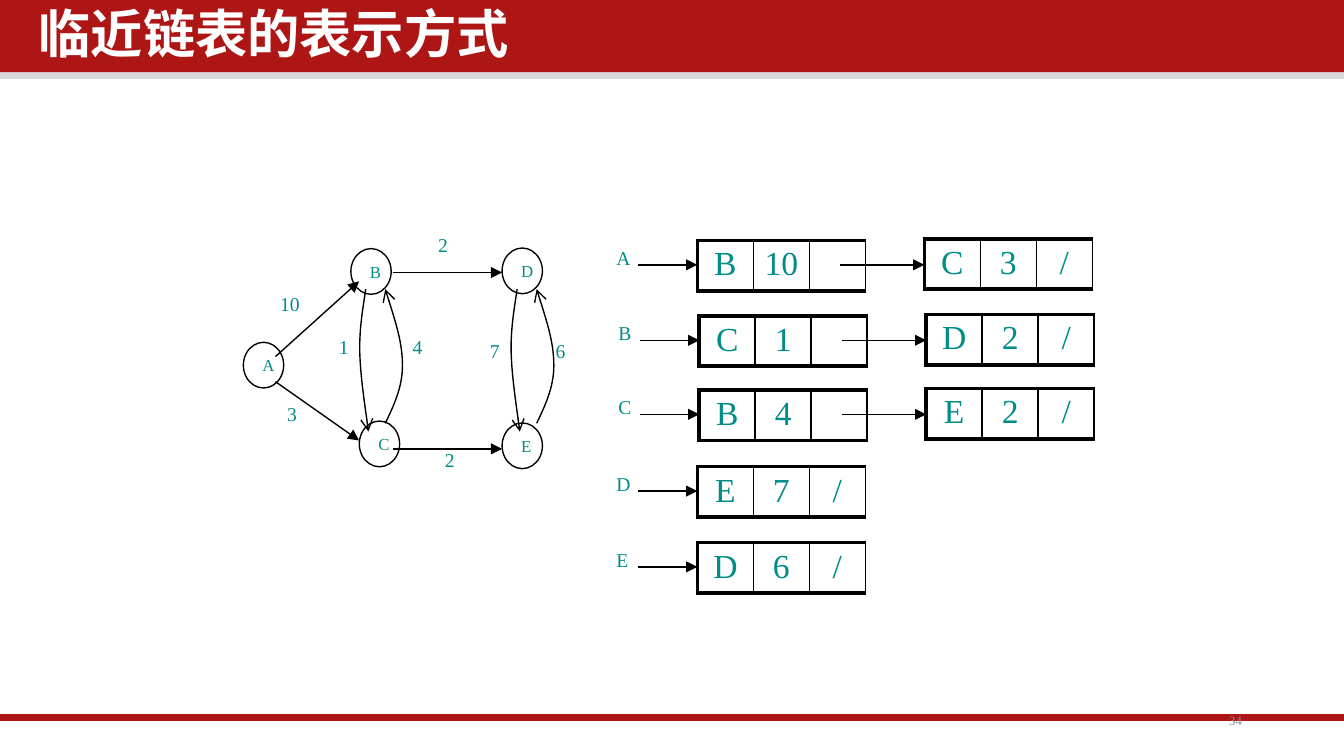
"""Build the slide on the adjacency list representation of a weighted graph."""
from dataclasses import dataclass

from lxml import etree
from pptx import Presentation
from pptx import util as u
from pptx.dml.color import RGBColor
from pptx.enum import shapes, text
from pptx.oxml.ns import qn

RED = RGBColor(0xAE, 0x16, 0x16)
PALE = RGBColor(0xD9, 0xD9, 0xD9)
GREY = RGBColor(0x8C, 0x8C, 0x8C)
TEAL = RGBColor(0x00, 0x8C, 0x87)
BLACK = RGBColor(0, 0, 0)
WHITE = RGBColor(255, 255, 255)
SERIF = "Times New Roman"
CJK = "Noto Sans CJK SC"
Point = tuple[float, float]


@dataclass(frozen=True)
class Label:
    text: str
    x: float
    y: float


@dataclass(frozen=True)
class Edge:
    start: Point
    end: Point


@dataclass(frozen=True)
class ListRow:
    vertex: str
    x: float
    y: float
    first: tuple[str, str, str]
    second: tuple[str, ...] = ()


VERTICES = [Label("A", 130.4, 183.4), Label("B", 188, 133.2), Label("C", 192.5, 225.6),
            Label("D", 269, 132.9), Label("E", 269, 226.6)]
EDGES = [Edge((147.6, 191), (192.4, 150.7)), Edge((147.6, 204.5), (192.4, 236)),
         Edge((210.4, 146), (269, 146)), Edge((210.4, 240.5), (269, 240.5))]
WEIGHTS = [Label("10", 143, 152.9), Label("2", 227.6, 121.5), Label("3", 146.8, 211.6),
           Label("1", 174.5, 175.8), Label("4", 214, 175.8), Label("7", 255.4, 177.9),
           Label("6", 290.6, 177.9), Label("2", 231.3, 236.3)]
DOWN = [(3.6, 0), (2, 10.8), (0, 21.6), (0.4, 34.6), (0.8, 46.8), (4.2, 69.8), (5, 76.3)]
UP = [(14, 71.9), (18.5, 62.6), (23.2, 52.6), (23.2, 41), (23.2, 28.8), (18.5, 14.4), (14, 0)]
CURVE_ORIGINS = [(192.4, 154.9), (273.5, 154.9)]
ROWS = [ListRow("A", 373.6, 128.2, ("B", "10", ""), ("C", "3", "/")),
        ListRow("B", 374.6, 168.6, ("C", "1", ""), ("D", "2", "/")),
        ListRow("C", 374.6, 208.3, ("B", "4", ""), ("E", "2", "/")),
        ListRow("D", 373.6, 249.4, ("E", "7", "/")),
        ListRow("E", 373.6, 290, ("D", "6", "/"))]


def add_text(tf, content: str, *, size: float, color=TEAL, font=SERIF, bold=False,
             align=text.PP_ALIGN.LEFT, spacing=1.0) -> None:
    p = tf.paragraphs[0]
    p.alignment, p.line_spacing = align, spacing
    r = p.add_run()
    r.text = content
    r.font.size, r.font.bold, r.font.name = u.Pt(size), bold, font
    r.font.color.rgb = color
    etree.SubElement(r.font._element, qn("a:ea"), typeface=font)


def add_box(s, x: float, y: float, w: float, h: float, content: str, *,
            wrap=False, margins=(7.2, 3.6), anchor=text.MSO_ANCHOR.TOP, **fmt) -> None:
    tf = s.shapes.add_textbox(u.Pt(x), u.Pt(y), u.Pt(w), u.Pt(h)).text_frame
    tf.word_wrap, tf.vertical_anchor = wrap, anchor
    tf.margin_left = tf.margin_right = u.Pt(margins[0])
    tf.margin_top = tf.margin_bottom = u.Pt(margins[1])
    add_text(tf, content, **fmt)


def add_band(s, y: float, h: float, color: RGBColor) -> None:
    sp = s.shapes.add_shape(shapes.MSO_SHAPE.RECTANGLE, 0, u.Pt(y), u.Pt(720), u.Pt(h))
    sp.shadow.inherit = False
    sp.fill.solid()
    sp.fill.fore_color.rgb = color
    sp.line.fill.background()


def style_line(line, color: RGBColor, width: float, head: str) -> None:
    line.color.rgb, line.width = color, u.Pt(width)
    etree.SubElement(line._get_or_add_ln(), qn("a:tailEnd"), type=head)


def add_line(s, edge: Edge, *, color=BLACK, width=0.75, head="triangle") -> None:
    (x1, y1), (x2, y2) = edge.start, edge.end
    c = s.shapes.add_connector(shapes.MSO_CONNECTOR.STRAIGHT,
                               u.Pt(x1), u.Pt(y1), u.Pt(x2), u.Pt(y2))
    style_line(c.line, color, width, head)
    etree.SubElement(c._element.spPr, qn("a:effectLst"))


def add_vertex(s, v: Label) -> None:
    sp = s.shapes.add_shape(shapes.MSO_SHAPE.OVAL, u.Pt(v.x), u.Pt(v.y), u.Pt(21.6), u.Pt(24.5))
    sp.shadow.inherit = False
    sp.fill.background()
    sp.line.color.rgb, sp.line.width = BLACK, u.Pt(0.75)
    sp.text_frame.vertical_anchor = text.MSO_ANCHOR.MIDDLE
    add_text(sp.text_frame, v.text, size=9, align=text.PP_ALIGN.CENTER)


def add_curve(s, origin: Point, controls: list[Point]) -> None:
    pts = [(u.Pt(origin[0] + x), u.Pt(origin[1] + y)) for x, y in controls]
    builder = s.shapes.build_freeform(*pts[0])
    builder.add_line_segments(pts[1:], close=False)
    sp = builder.convert_to_shape()
    steps = list(sp._element.iter(qn("a:lnTo")))
    outline = steps[0].getparent()
    for i in range(0, len(steps), 3):
        bezier = etree.SubElement(outline, qn("a:cubicBezTo"))
        for step in steps[i:i + 3]:
            bezier.append(step[0])
            outline.remove(step)
    sp.shadow.inherit = False
    sp.fill.background()
    style_line(sp.line, BLACK, 0.75, "arrow")


def set_border(cell, side: str, width: float) -> None:
    ln = etree.SubElement(cell._tc.get_or_add_tcPr(), qn(f"a:{side}"), w=str(u.Pt(width)))
    fill = etree.SubElement(ln, qn("a:solidFill"))
    etree.SubElement(fill, qn("a:srgbClr"), val=str(BLACK))


def add_node(s, x: float, y: float, values: tuple[str, ...]) -> None:
    table = s.shapes.add_table(1, len(values), u.Pt(x), u.Pt(y), u.Pt(90), u.Pt(27)).table
    table.first_row = table.horz_banding = False
    for i, value in enumerate(values):
        cell = table.cell(0, i)
        cell.margin_left = cell.margin_right = u.Pt(5)
        cell.margin_top, cell.margin_bottom = u.Pt(3), u.Pt(2)
        for side, width in (("lnL", 1 if i else 2.25), ("lnR", 1), ("lnT", 2.25), ("lnB", 2.25)):
            set_border(cell, side, width)
        cell.fill.background()
        if value:
            add_text(cell.text_frame, value, size=18, align=text.PP_ALIGN.CENTER)


def add_list_row(s, row: ListRow) -> None:
    arrow_y, next_x = row.y + 13.7, row.x + 121.6
    add_node(s, row.x, row.y + 0.6, row.first)
    add_box(s, row.x - 50.4, row.y, 22, 20, row.vertex, size=10.5)
    add_line(s, Edge((row.x - 31.7, arrow_y), (row.x, arrow_y)))
    if row.second:
        add_node(s, next_x, row.y - 0.2, row.second)
        add_line(s, Edge((row.x + 76.4, arrow_y), (next_x, arrow_y)))


def main() -> None:
    prs = Presentation()
    prs.slide_width, prs.slide_height = u.Pt(720), u.Pt(405)
    s = prs.slides.add_slide(prs.slide_layouts[6])
    add_band(s, 36, 6.3, PALE)
    add_band(s, 0, 38.7, RED)
    add_line(s, Edge((0, 384.5), (720, 384.5)), color=RED, width=4, head="none")
    add_box(s, 508.3, 375.1, 162, 21.6, "34", wrap=True, margins=(5, 3), size=6.8,
            color=GREY, align=text.PP_ALIGN.RIGHT, anchor=text.MSO_ANCHOR.MIDDLE)
    for v in VERTICES:
        add_vertex(s, v)
    for edge in EDGES:
        add_line(s, edge)
    for origin in CURVE_ORIGINS:
        for controls in (DOWN, UP):
            add_curve(s, origin, controls)
    for w in WEIGHTS:
        add_box(s, w.x, w.y, 25 if len(w.text) > 1 else 19.5, 20, w.text, size=10.5)
    for row in ROWS:
        add_list_row(s, row)
    add_box(s, 15.8, 1.4, 550, 42.5, "临近链表的表示方式", wrap=True, margins=(5, 3),
            size=28, color=WHITE, font=CJK, bold=True, spacing=0.9)
    prs.save("out.pptx")


if __name__ == "__main__":
    main()
